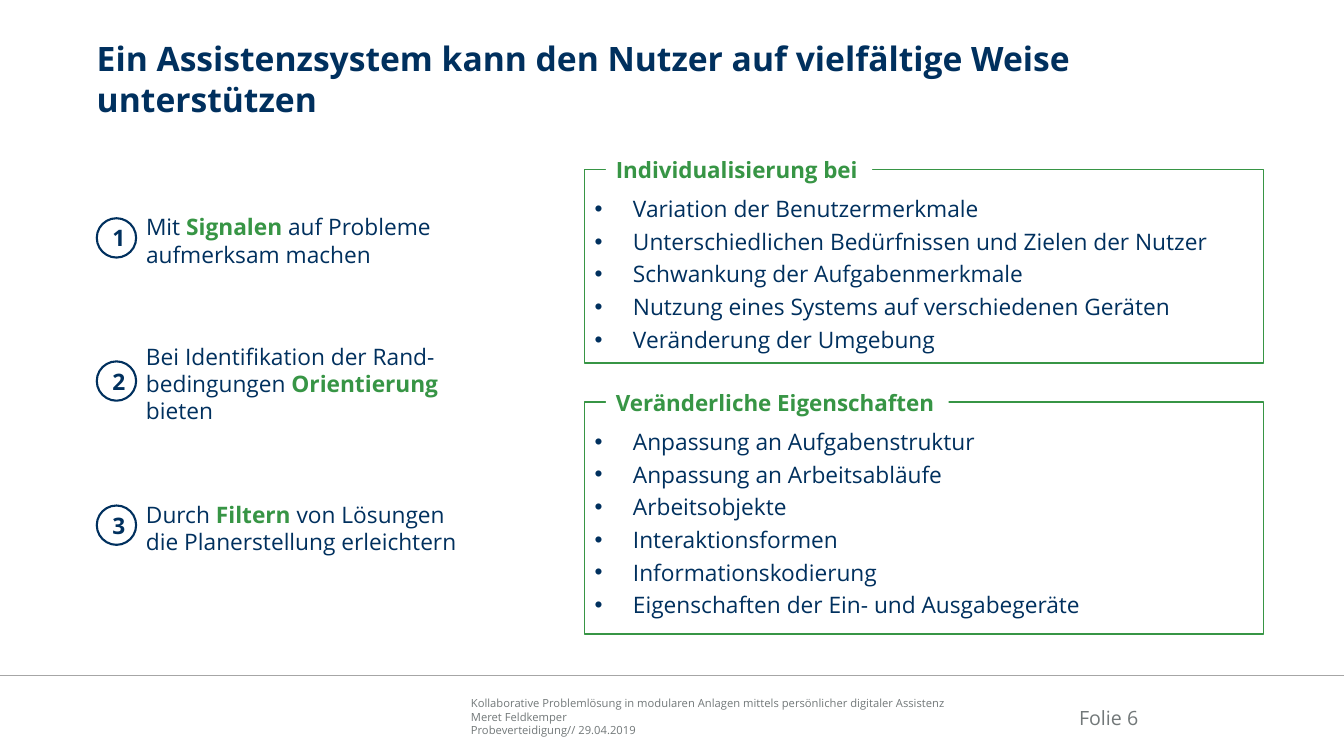
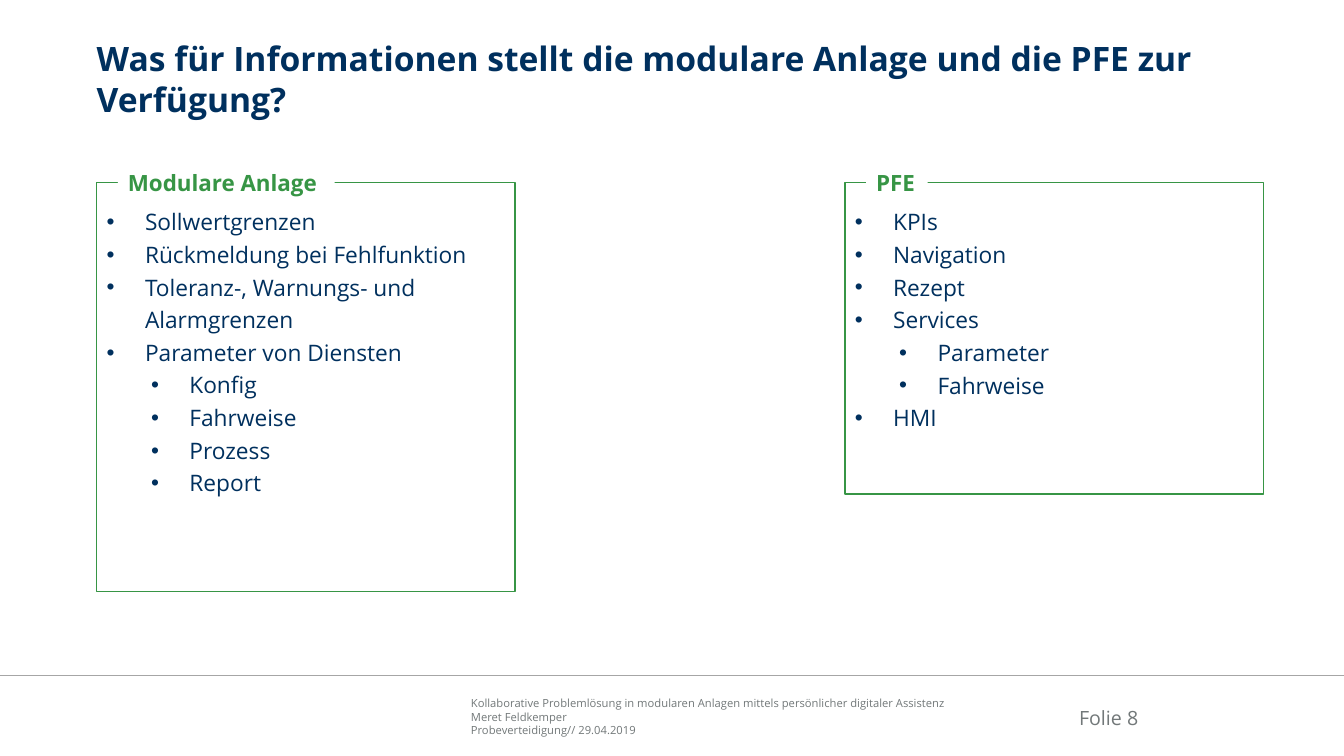
import pptx
import pptx.util
import pptx.dml.color
import pptx.enum.shapes
import pptx.enum.text
import pptx.oxml.ns
import lxml.etree

Inches = pptx.util.Inches
Pt = pptx.util.Pt
ANCHOR = pptx.enum.text.MSO_ANCHOR
ALIGN = pptx.enum.text.PP_ALIGN
SHAPE = pptx.enum.shapes.MSO_SHAPE

COLORS = {"navy": "00305E", "green": "379545", "gray": "727879",
          "rule": "A6A6A6", "white": "FFFFFF"}
FONT = "Open Sans"
SLIDE_W, SLIDE_H = 13.33, 7.5
MARGIN = 0.96
CONTENT_W = 11.57
BODY_SIZE = 16.2
FOOTER = ("Kollaborative Problemlösung in modularen Anlagen mittels persönlicher digitaler Assistenz\n"
          "Meret Feldkemper\n"
          "Probeverteidigung// 29.04.2019")


def rgb(name):
    """Return the named colour."""
    return pptx.dml.color.RGBColor.from_string(COLORS[name])


def style_run(run, size, color, bold=False):
    """Set font, size, colour and weight of a run."""
    run.font.name = FONT
    run.font.size = Pt(size)
    run.font.bold = bold
    run.font.color.rgb = rgb(color)


def set_frame(frame, insets, anchor):
    """Set wrapping, insets (left, top, right, bottom) and anchor."""
    frame.word_wrap = True
    frame.vertical_anchor = anchor
    (frame.margin_left, frame.margin_top,
     frame.margin_right, frame.margin_bottom) = map(Inches, insets)


def write(frame, text, size, color, bold=False, align=ALIGN.LEFT):
    """Fill a frame with uniformly styled paragraphs."""
    frame.text = text
    for paragraph in frame.paragraphs:
        paragraph.alignment = align
        for run in paragraph.runs:
            style_run(run, size, color, bold)


def add_label(slide, box, text, size, color, bold=False, align=ALIGN.LEFT, anchor=ANCHOR.TOP):
    """Add a text box without insets."""
    frame = slide.shapes.add_textbox(*map(Inches, box)).text_frame
    set_frame(frame, (0, 0, 0, 0), anchor)
    write(frame, text, size, color, bold, align)


def add_outline(shapes, preset, box, fill=None, line=None, width=1):
    """Add a preset shape with the given fill and outline."""
    shape = shapes.add_shape(preset, *map(Inches, box))
    shape.shadow.inherit = False
    if fill:
        shape.fill.solid()
        shape.fill.fore_color.rgb = rgb(fill)
    else:
        shape.fill.background()
    if line:
        shape.line.color.rgb = rgb(line)
        shape.line.width = Pt(width)
    else:
        shape.line.fill.background()
    return shape


def add_footer(slide, number):
    """Draw the rule, the talk details and the slide number."""
    top = 6.7
    rule = slide.shapes.add_connector(
        pptx.enum.shapes.MSO_CONNECTOR.STRAIGHT,
        Inches(0), Inches(top), Inches(SLIDE_W), Inches(top))
    rule.line.color.rgb = rgb("rule")
    rule.line.width = Pt(1)
    lxml.etree.SubElement(rule._element.spPr, pptx.oxml.ns.qn("a:effectLst"))
    add_label(slide, (4.67, top + 0.21, 4.91, 0.4), FOOTER, 8, "gray", anchor=ANCHOR.BOTTOM)
    add_label(slide, (10.3, top + 0.17, 0.99, 0.5), f"Folie {number}", 14, "gray",
              align=ALIGN.RIGHT, anchor=ANCHOR.MIDDLE)


def add_base_slide(deck, title, number):
    """Add a blank slide with title and footer."""
    slide = deck.slides.add_slide(deck.slide_layouts[6])
    add_footer(slide, number)
    add_label(slide, (MARGIN, 0.38, CONTENT_W, 0.75), title, 24, "navy", bold=True)
    return slide


def set_bullet(paragraph, level):
    """Give a paragraph a hanging bullet."""
    paragraph.level = level
    paragraph.line_spacing = 1.2
    properties = paragraph._p.get_or_add_pPr()
    properties.set("marL", str(Inches((0.38, 0.82)[level])))
    properties.set("indent", str(Inches(-0.38)))
    for tag, key, value in (("a:buFont", "typeface", "Arial"), ("a:buChar", "char", "•")):
        lxml.etree.SubElement(properties, pptx.oxml.ns.qn(tag)).set(key, value)


def add_panel(slide, box, heading, heading_width, items):
    """Draw a framed bullet list whose heading interrupts the top edge."""
    left, top = box[:2]
    heading_height = 0.37
    group = slide.shapes.add_group_shape()
    frame = add_outline(group.shapes, SHAPE.RECTANGLE, box, "white", "green").text_frame
    set_frame(frame, (0.1, 0.2, 0.1, 0.05), ANCHOR.TOP)
    write(frame, "\n".join(text for text, level in items), BODY_SIZE, "navy")
    for paragraph, (text, level) in zip(frame.paragraphs, items):
        set_bullet(paragraph, level)
    heading_box = (left + 0.21, top - heading_height / 2, heading_width, heading_height)
    label = add_outline(group.shapes, SHAPE.RECTANGLE, heading_box, "white").text_frame
    set_frame(label, (0.1, 0.05, 0.1, 0.05), ANCHOR.MIDDLE)
    write(label, heading, 16, "green", bold=True)


def add_support_step(slide, box, number, parts):
    """Draw a numbered circle with a statement whose middle part is stressed."""
    left, center, width, height = box
    diameter = 0.39
    circle = add_outline(slide.shapes, SHAPE.OVAL,
                         (left, center - diameter / 2, diameter, diameter),
                         line="navy", width=1.5)
    set_frame(circle.text_frame, (0.1, 0.05, 0.1, 0.05), ANCHOR.MIDDLE)
    write(circle.text_frame, str(number), BODY_SIZE, "navy", True, ALIGN.CENTER)
    statement = slide.shapes.add_textbox(
        Inches(left + diameter), Inches(center - height / 2), Inches(width), Inches(height)).text_frame
    set_frame(statement, (0.1, 0.1, 0.1, 0.05), ANCHOR.MIDDLE)
    for index, part in enumerate(parts):
        run = statement.paragraphs[0].add_run()
        run.text = part
        stressed = index == 1
        style_run(run, BODY_SIZE, "green" if stressed else "navy", stressed)


def build_support_slide(deck):
    """Build the slide on the ways of supporting the user."""
    slide = add_base_slide(
        deck, "Ein Assistenzsystem kann den Nutzer auf vielfältige Weise unterstützen", 6)
    steps = [
        (2.36, 3.15, 0.97, ("Mit ", "Signalen ", "auf Probleme aufmerksam machen")),
        (3.78, 3.56, 0.88, ("Bei Identifikation der Rand-bedingungen ", "Orientierung ", "bieten")),
        (5.21, 3.3, 0.77, ("Durch ", "Filtern ", "von Lösungen die Planerstellung erleichtern")),
    ]
    for number, (center, width, height, parts) in enumerate(steps, 1):
        add_support_step(slide, (MARGIN, center, width, height), number, parts)
    panels = [
        (1.68, 1.92, "Individualisierung bei", 2.64, [
            "Variation der Benutzermerkmale",
            "Unterschiedlichen Bedürfnissen und Zielen der Nutzer",
            "Schwankung der Aufgabenmerkmale",
            "Nutzung eines Systems auf verschiedenen Geräten",
            "Veränderung der Umgebung"]),
        (3.99, 2.3, "Veränderliche Eigenschaften", 3.4, [
            "Anpassung an Aufgabenstruktur",
            "Anpassung an Arbeitsabläufe",
            "Arbeitsobjekte",
            "Interaktionsformen",
            "Informationskodierung",
            "Eigenschaften der Ein- und Ausgabegeräte"]),
    ]
    for top, height, heading, heading_width, items in panels:
        add_panel(slide, (5.8, top, 6.73, height), heading, heading_width,
                  [(item, 0) for item in items])


def build_information_slide(deck):
    """Build the slide on the information provided by plant and PFE."""
    slide = add_base_slide(
        deck, "Was für Informationen stellt die modulare Anlage und die PFE zur Verfügung?", 8)
    top, width = 1.81, 4.15
    add_panel(slide, (MARGIN, top, width, 4.06), "Modulare Anlage", 2.15, [
        ("Sollwertgrenzen", 0),
        ("Rückmeldung bei Fehlfunktion", 0),
        ("Toleranz-, Warnungs- und Alarmgrenzen", 0),
        ("Parameter von Diensten", 0),
        ("Konfig", 1),
        ("Fahrweise", 1),
        ("Prozess", 1),
        ("Report", 1)])
    add_panel(slide, (MARGIN + CONTENT_W - width, top, width, 3.09), "PFE", 0.61, [
        ("KPIs", 0),
        ("Navigation", 0),
        ("Rezept", 0),
        ("Services", 0),
        ("Parameter", 1),
        ("Fahrweise", 1),
        ("HMI", 0)])


def main():
    """Build and save the deck."""
    deck = pptx.Presentation()
    deck.slide_width, deck.slide_height = Inches(SLIDE_W), Inches(SLIDE_H)
    build_support_slide(deck)
    build_information_slide(deck)
    deck.save("out.pptx")


if __name__ == "__main__":
    main()
